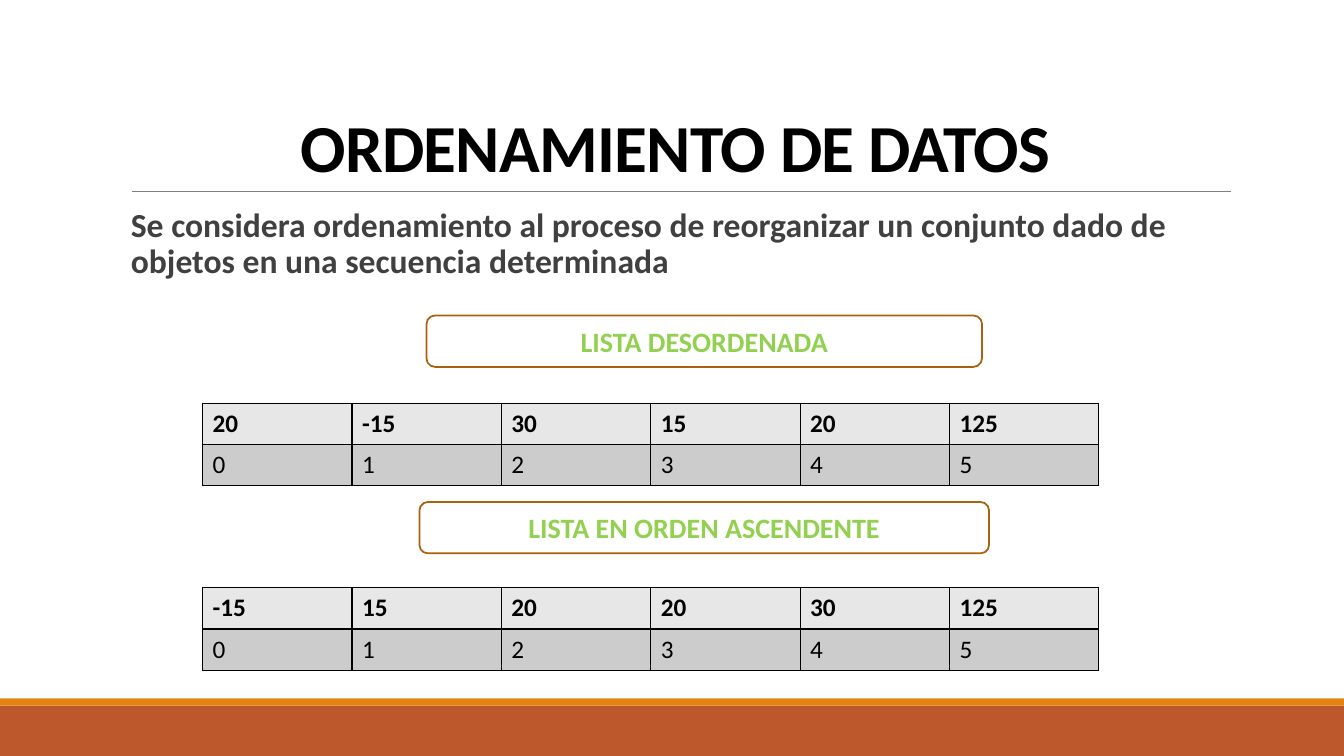
from dataclasses import dataclass

from lxml.etree import SubElement as Sub
from pptx import Presentation
from pptx.dml.color import RGBColor as Rgb
from pptx.enum.shapes import MSO_CONNECTOR as Line, MSO_SHAPE as Shape
from pptx.enum.text import MSO_ANCHOR as Anchor, PP_ALIGN as Align
from pptx.oxml.ns import qn
from pptx.util import Inches, Pt


@dataclass(frozen=True)
class Theme:
    font: str = "Calibri"
    black: str = "000000"
    body: str = "404040"
    rule: str = "808080"
    green: str = "92D050"
    brown: str = "A9610D"
    rust: str = "BD582C"
    amber: str = "E48312"
    rows: tuple = ("E7E7E7", "CCCCCC")
    title: int = 48
    lead: int = 24
    label: int = 20
    cell: int = 18


T = Theme()
W, H = 13.33, 7.5
LEFT, WIDE = 1.2, 11
ROW = 0.41


def color(hue):
    return Rgb.from_string(hue)


def write(frame, text, size, hue, bold=True, align=Align.LEFT, lead=None,
          before=0, after=0, track=0):
    frame.word_wrap = True
    par = frame.paragraphs[0]
    par.alignment, par.line_spacing = align, lead
    par.space_before, par.space_after = Pt(before), Pt(after)
    run = par.add_run()
    run.text = text
    font = run.font
    font.name, font.size, font.bold = T.font, Pt(size), bold
    font.color.rgb = color(hue)
    if track:
        run._r.get_or_add_rPr().set("spc", str(int(track * 100)))


def block(slide, kind, box, fill=None, edge=None):
    shape = slide.shapes.add_shape(kind, *map(Inches, box))
    shape.shadow.inherit = False
    if fill:
        shape.fill.solid()
        shape.fill.fore_color.rgb = color(fill)
    else:
        shape.fill.background()
    if edge:
        shape.line.color.rgb = color(edge)
        shape.line.width = Pt(1.25)
    else:
        shape.line.fill.background()
    return shape


def footer(slide, box):
    """Lay a thin amber strip over a rust band."""
    x, y, w, h = box
    strip = 0.07
    block(slide, Shape.RECTANGLE, (x, y + strip, w, h - strip), T.rust)
    block(slide, Shape.RECTANGLE, (x, y, w, strip), T.amber)


def header(slide, box, text):
    x, y, w, h = box
    ends = (x + 0.11, y + h, x + w + 0.01, y + h)
    rule = slide.shapes.add_connector(Line.STRAIGHT, *map(Inches, ends))
    rule.line.color.rgb = color(T.rule)
    rule.line.width = Pt(0.5)
    Sub(rule._element.spPr, qn("a:effectLst"))
    frame = slide.shapes.add_textbox(*map(Inches, box)).text_frame
    frame.vertical_anchor = Anchor.BOTTOM
    write(frame, text, T.title, T.black, align=Align.CENTER, lead=0.85,
          track=-0.5)


def intro(slide, box, text):
    frame = slide.shapes.add_textbox(*map(Inches, box)).text_frame
    frame.margin_left, frame.margin_right = Inches(0.1), 0
    write(frame, text, T.lead, T.body, lead=0.9, before=12, after=2)


def label(slide, box, text):
    frame = block(slide, Shape.ROUNDED_RECTANGLE, box, edge=T.brown).text_frame
    frame.vertical_anchor = Anchor.MIDDLE
    write(frame, text, T.label, T.green, align=Align.CENTER)


def border(cell):
    """Draw the four cell sides, which must come before the fill."""
    props = cell._tc.get_or_add_tcPr()
    for side in ("lnL", "lnR", "lnT", "lnB"):
        line = Sub(props, qn(f"a:{side}"), w=str(Pt(1)))
        Sub(Sub(line, qn("a:solidFill")), qn("a:srgbClr"), val=T.black)


def array(slide, box, values):
    """Show the values in bold above their indexes."""
    grid = (values, range(len(values)))
    table = slide.shapes.add_table(2, len(values), *map(Inches, box)).table
    for col in table.columns:
        col.width = Inches(box[2] / len(values))
    for r, (items, fill) in enumerate(zip(grid, T.rows)):
        table.rows[r].height = Inches(box[3] / 2)
        for c, item in enumerate(items):
            cell = table.cell(r, c)
            border(cell)
            cell.fill.solid()
            cell.fill.fore_color.rgb = color(fill)
            write(cell.text_frame, str(item), T.cell, T.black, bold=r == 0)


def main():
    deck = Presentation()
    deck.slide_width, deck.slide_height = Inches(W), Inches(H)
    slide = deck.slides.add_slide(deck.slide_layouts[6])
    footer(slide, (0, 6.93, W, H - 6.93))
    header(slide, (LEFT, 0.31, WIDE, 1.59), "ORDENAMIENTO DE DATOS")
    intro(slide, (LEFT, 2.02, WIDE, 1),
          "Se considera ordenamiento al proceso de reorganizar un conjunto "
          "dado de objetos en una secuencia determinada")
    data = [20, -15, 30, 15, 20, 125]
    lists = (
        ("LISTA DESORDENADA", data, 3.13, 5.51, 4),
        ("LISTA EN ORDEN ASCENDENTE", sorted(data), 4.98, 5.65, 5.83),
    )
    mid = 6.985
    for text, values, top, wide, y in lists:
        array(slide, (2.01, y, 8.89, 2 * ROW), values)
        label(slide, (mid - wide / 2, top, wide, 0.51), text)
    deck.save("out.pptx")


if __name__ == "__main__":
    main()
